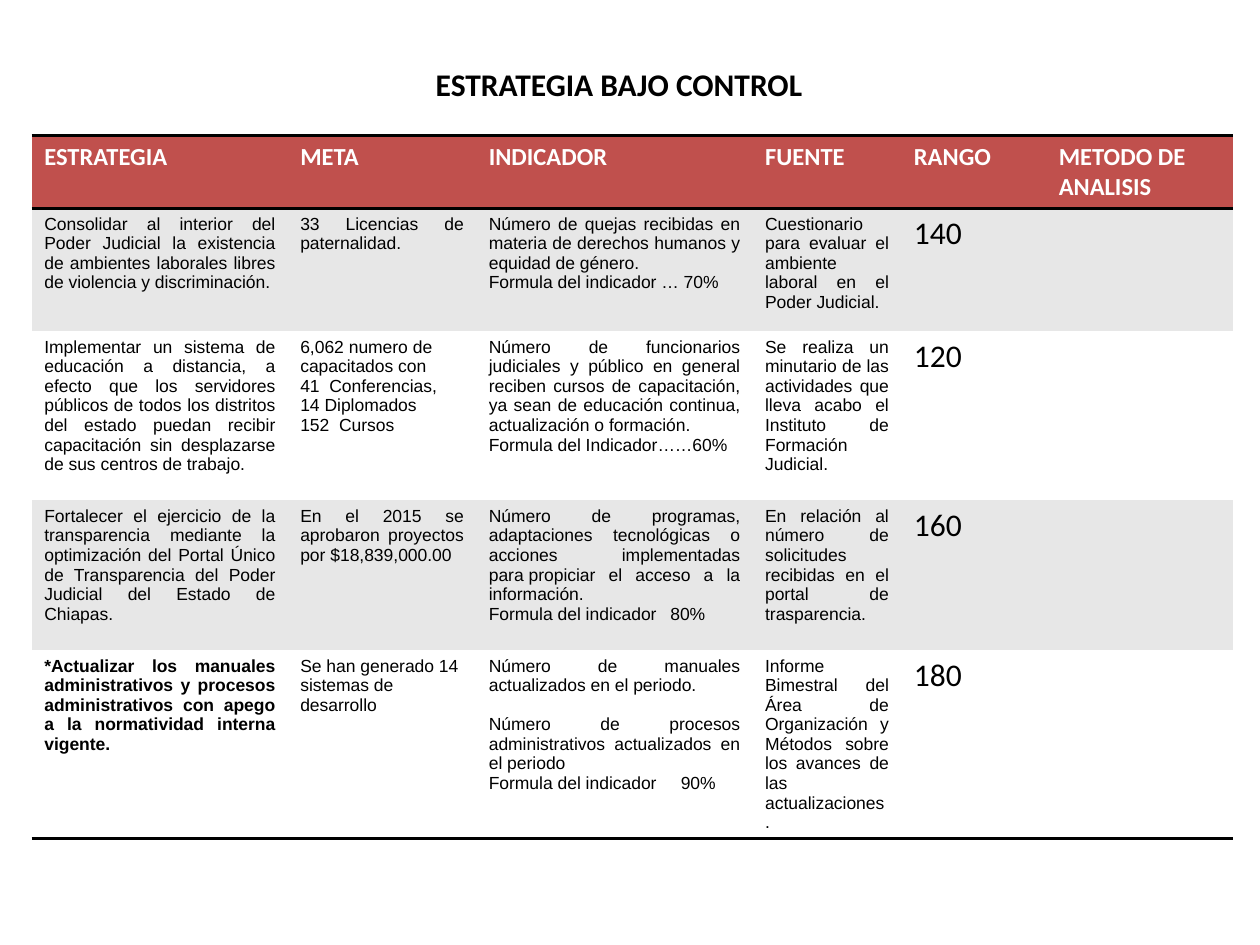
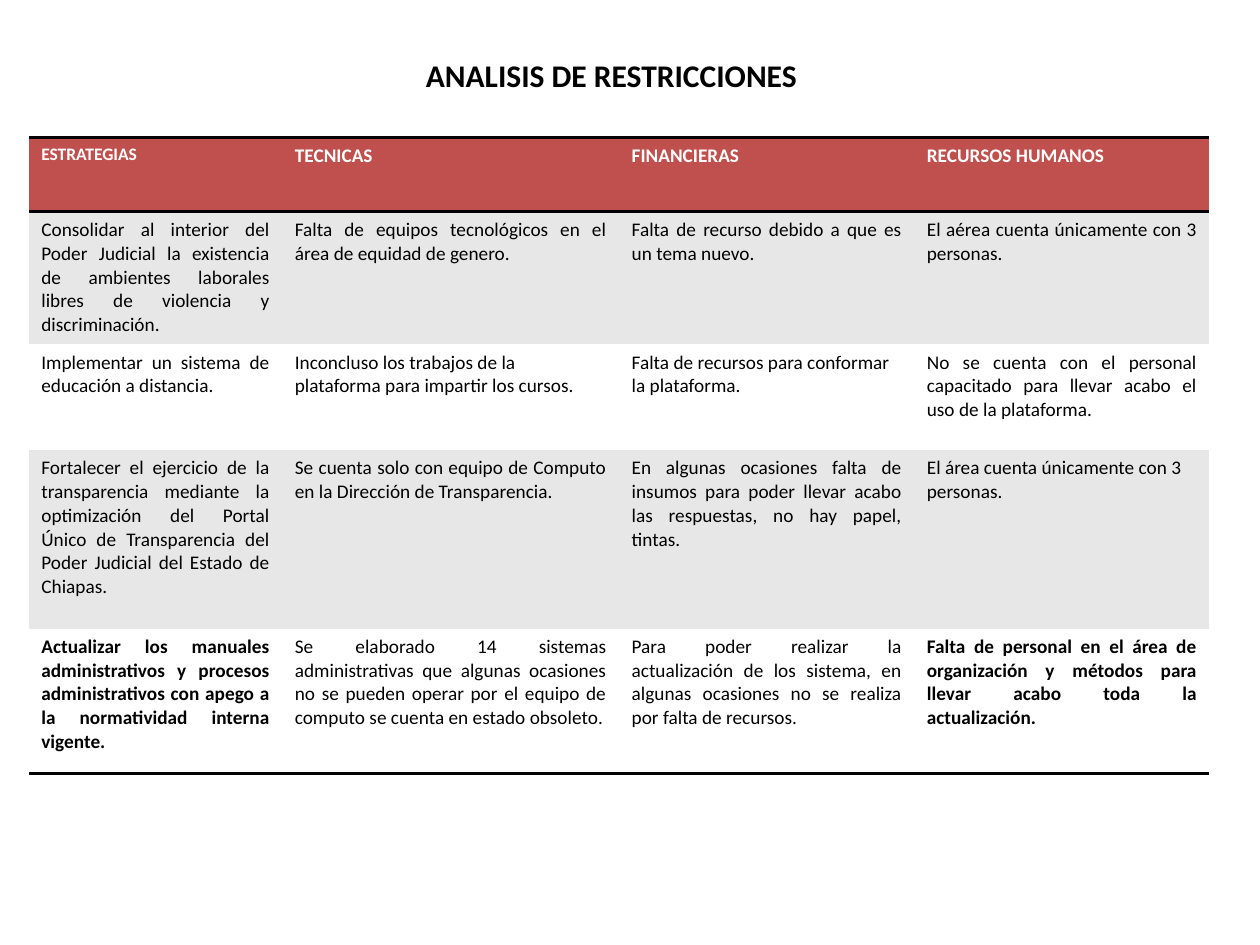
from lxml import etree
from pptx import Presentation
from pptx import util as u
from pptx.dml import color
from pptx.enum import text
from pptx.oxml import ns

BLACK, WHITE, RED, GREY = "000000", "FFFFFF", "C0504D", "E7E7E7"
NO_STYLE_NO_GRID = "{2D5ABB26-0587-4C30-8999-92F81FD0307C}"
LEFT, JUSTIFY = text.PP_ALIGN.LEFT, text.PP_ALIGN.JUSTIFY


def rgb(value):
    """Turn a hex string into a colour."""
    return color.RGBColor.from_string(value)


def write(paragraph, words, alignment, hex_color, **font_format):
    """Fill a paragraph with one formatted run."""
    paragraph.alignment = alignment
    run = paragraph.add_run()
    run.text = words
    run.font.color.rgb = rgb(hex_color)
    for name, value in font_format.items():
        setattr(run.font, name, value)


# "left" lists the (row, column) cells that are not justified, "bold" the bold ones.
# "fonts" gives name and size per column of the body, "tabs" a stop in cm per cell.
# "gaps" holds the space in points above a paragraph, by row, column and line.
slides = [
    {
        "title": "ESTRATEGIA BAJO CONTROL",
        "title_box": (8.53, 1.19, 8.1, 1.02),
        "origin": (0.64, 2.74),
        "columns": [5.16, 3.8, 5.57, 3.0, 2.92, 3.76],
        "rows": [1.45, 2.48, 3.41, 3.02, 3.79],
        "header_sizes": [14] * 6,
        "fonts": [("Arial", 10)] * 4 + [("Calibri", 18)] * 2,
        "left": {(2, 1), (4, 1)} | {(row, 4) for row in range(1, 5)},
        "bold": {(4, 0)},
        "tabs": {(3, 2): 3.66, (4, 2): 3.87},
        "gaps": {(4, 2, 1): 11},
        "cells": [
            ["ESTRATEGIA", "META", "INDICADOR", "FUENTE", "RANGO", "METODO DE ANALISIS"],
            ["Consolidar al interior del Poder Judicial la existencia de ambientes "
             "laborales libres de violencia y discriminación.",
             "33 Licencias de paternalidad.",
             "Número de quejas recibidas en materia de derechos humanos y equidad de "
             "género.\nFormula del indicador … 70%",
             "Cuestionario para evaluar el ambiente laboral en el Poder Judicial.",
             "140", ""],
            ["Implementar un sistema de educación a distancia, a efecto que los "
             "servidores públicos de todos los distritos del estado puedan recibir "
             "capacitación sin desplazarse de sus centros de trabajo.",
             "6,062 numero de capacitados con\n41  Conferencias,\n14 Diplomados\n"
             "152  Cursos",
             "Número de funcionarios judiciales y público en general reciben cursos de "
             "capacitación, ya sean de educación continua, actualización o formación.\n"
             "Formula del Indicador……60%",
             "Se realiza un minutario de las actividades que lleva acabo el Instituto "
             "de Formación Judicial.",
             "120", ""],
            ["Fortalecer el ejercicio de la transparencia mediante la optimización del "
             "Portal Único de Transparencia del Poder Judicial del Estado de Chiapas.",
             "En el 2015 se aprobaron proyectos por $18,839,000.00",
             "Número de programas, adaptaciones tecnológicas o acciones implementadas "
             "para\u00a0propiciar el acceso a la información.\n"
             "Formula del indicador\t80%",
             "En relación al número de solicitudes recibidas en el portal de "
             "trasparencia.",
             "160", ""],
            ["*Actualizar los manuales administrativos y procesos administrativos con "
             "apego a la normatividad interna vigente.",
             "Se han generado 14 sistemas de desarrollo",
             "Número de manuales actualizados en el periodo.\n"
             "Número de procesos administrativos actualizados en el periodo\n"
             "Formula del indicador\t90%",
             "Informe Bimestral del Área de Organización y Métodos sobre los avances de "
             "las actualizaciones.",
             "180", ""],
        ],
    },
    {
        "title": "ANALISIS DE RESTRICCIONES",
        "title_box": (8.33, 0.99, 8.2, 1.02),
        "origin": (0.58, 2.77),
        "columns": [5.11, 6.79, 5.95, 5.95],
        "rows": [1.5, 2.67, 2.13, 3.6, 2.92],
        "header_sizes": [10, 11, 11, 11],
        "fonts": [("Calibri", 11)] * 4,
        "left": {(2, 1), (2, 2), (3, 3)},
        "bold": {(4, 0), (4, 3)},
        "tabs": {},
        "gaps": {},
        "cells": [
            ["ESTRATEGIAS", "TECNICAS", "FINANCIERAS", "RECURSOS HUMANOS"],
            ["Consolidar al interior del Poder Judicial la existencia de ambientes "
             "laborales libres de violencia y discriminación.",
             "Falta de equipos tecnológicos en el área de equidad de genero.",
             "Falta de recurso debido a que es un tema nuevo.",
             "El aérea cuenta únicamente con 3 personas."],
            ["Implementar un sistema de educación a distancia.",
             "Inconcluso los trabajos de la plataforma\u00a0para impartir los cursos.",
             "Falta de recursos para conformar la plataforma.",
             "No se cuenta con el personal capacitado para llevar acabo el uso de la "
             "plataforma."],
            ["Fortalecer el ejercicio de la transparencia mediante la optimización del "
             "Portal Único de Transparencia del Poder Judicial del Estado de Chiapas.",
             "Se cuenta solo con equipo de Computo en la Dirección de Transparencia.",
             "En algunas ocasiones falta de insumos para poder llevar acabo las "
             "respuestas, no hay papel, tintas.",
             "El área cuenta únicamente con 3 personas."],
            ["Actualizar los manuales administrativos y procesos administrativos con "
             "apego a la normatividad interna vigente.",
             "Se elaborado 14 sistemas administrativas que algunas ocasiones no se "
             "pueden operar por el equipo de computo se cuenta en estado obsoleto.",
             "Para poder realizar la actualización de los sistema, en algunas ocasiones "
             "no se realiza por falta de recursos.",
             "Falta de personal en el área de organización y métodos para llevar acabo "
             "toda la actualización."],
        ],
    },
]

presentation = Presentation()
presentation.slide_width, presentation.slide_height = u.Cm(25.4), u.Cm(19.05)

for content in slides:
    slide = presentation.slides.add_slide(presentation.slide_layouts[5])

    title = slide.shapes.title
    for name, value in zip(("left", "top", "width", "height"), content["title_box"]):
        setattr(title, name, u.Cm(value))
    title.text_frame.vertical_anchor = text.MSO_ANCHOR.MIDDLE
    write(title.text_frame.paragraphs[0], content["title"], LEFT, BLACK,
          name="Calibri", size=u.Pt(18), bold=True)

    columns, rows = content["columns"], content["rows"]
    left, top = content["origin"]
    table = slide.shapes.add_table(
        len(rows), len(columns), u.Cm(left), u.Cm(top),
        u.Cm(sum(columns)), u.Cm(sum(rows))).table
    table._tbl.tblPr.find(ns.qn("a:tableStyleId")).text = NO_STYLE_NO_GRID
    for column, width in zip(table.columns, columns):
        column.width = u.Cm(width)
    for row, height in zip(table.rows, rows):
        row.height = u.Cm(height)

    for row_index, row_texts in enumerate(content["cells"]):
        header = row_index == 0
        for column_index, words in enumerate(row_texts):
            place = (row_index, column_index)
            cell = table.cell(*place)
            cell.fill.solid()
            cell.fill.fore_color.rgb = rgb(
                RED if header else GREY if row_index % 2 else WHITE)

            # Rules above and below the header and under the last row
            edges = ["lnT", "lnB"] if header else []
            if row_index == len(rows) - 1:
                edges = ["lnB"]
            properties = cell._tc.get_or_add_tcPr()
            for position, edge in enumerate(edges):
                line = etree.Element(ns.qn("a:" + edge), w=str(u.Pt(2)))
                fill = etree.SubElement(line, ns.qn("a:solidFill"))
                etree.SubElement(fill, ns.qn("a:srgbClr"), val=BLACK)
                properties.insert(position, line)

            if not words:
                continue
            font_name, size = content["fonts"][column_index]
            if header:
                font_name, size = "Calibri", content["header_sizes"][column_index]
            alignment = LEFT if header or place in content["left"] else JUSTIFY
            frame = cell.text_frame
            for line_index, line_text in enumerate(words.split("\n")):
                paragraph = frame.add_paragraph() if line_index else frame.paragraphs[0]
                write(paragraph, line_text, alignment, WHITE if header else BLACK,
                      name=font_name, size=u.Pt(size),
                      bold=header or place in content["bold"])
                gap = content["gaps"].get((*place, line_index))
                if gap:
                    paragraph.space_before = u.Pt(gap)
                if "\t" in line_text:
                    stops = etree.SubElement(
                        paragraph._p.get_or_add_pPr(), ns.qn("a:tabLst"))
                    etree.SubElement(stops, ns.qn("a:tab"), algn="l",
                                     pos=str(u.Cm(content["tabs"][place])))

presentation.save("out.pptx")
